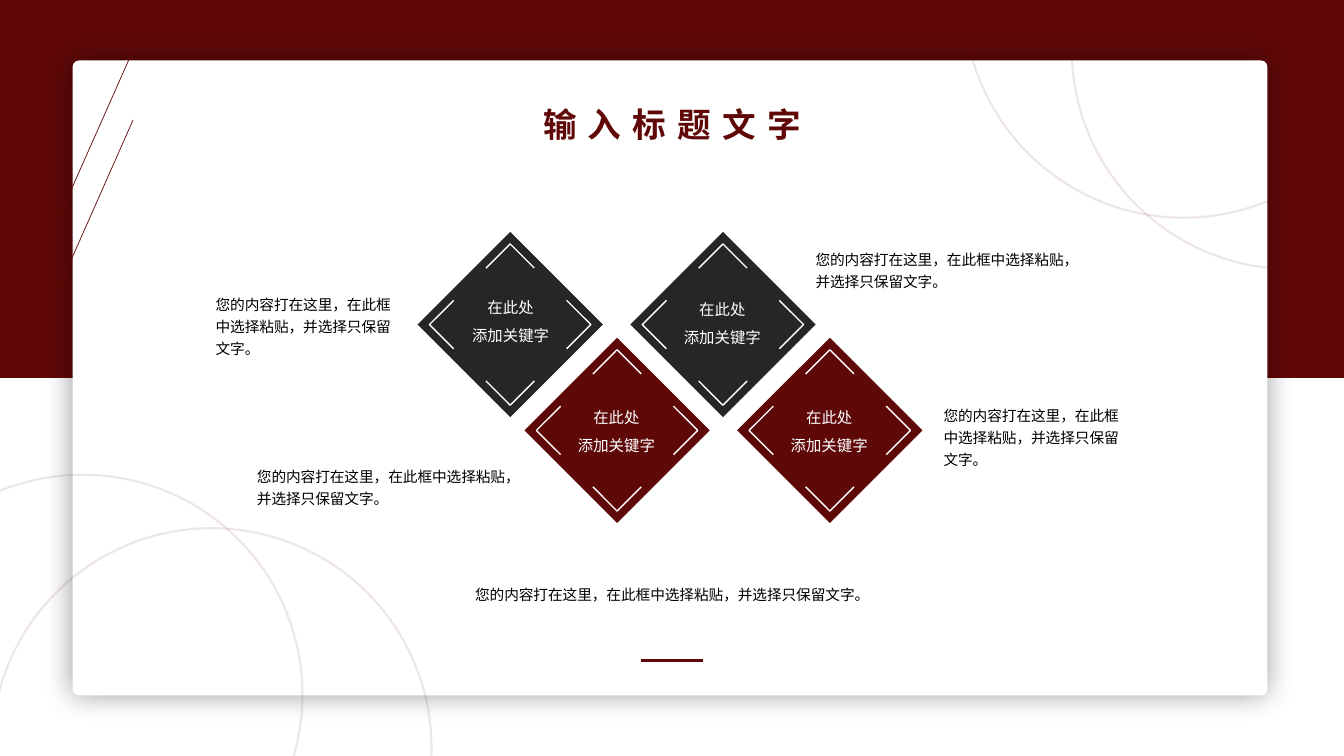
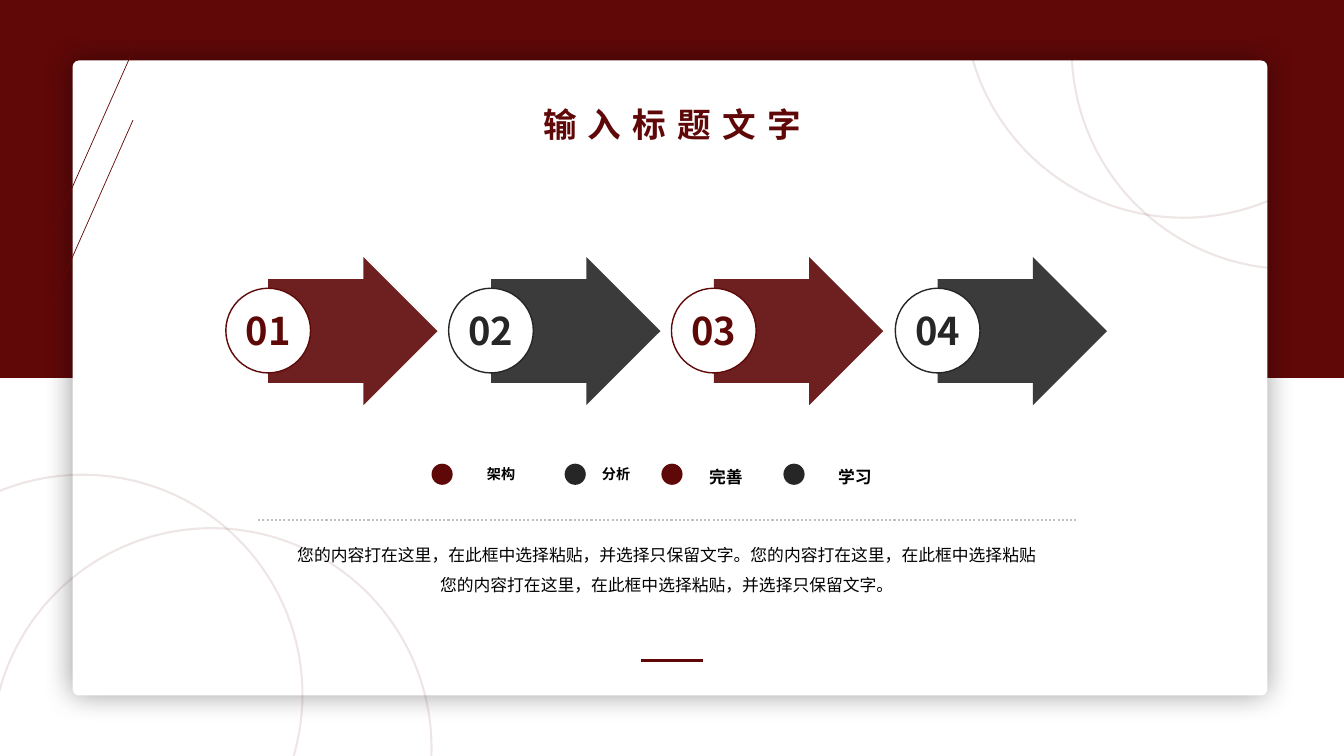
import pptx
import pptx.dml.color
import pptx.enum.dml
import pptx.enum.shapes
import pptx.enum.text
import pptx.oxml.ns
import pptx.util
from lxml import etree

Inches = pptx.util.Inches
Pt = pptx.util.Pt
qn = pptx.oxml.ns.qn
Shape = pptx.enum.shapes.MSO_SHAPE
Align = pptx.enum.text.PP_ALIGN
STRAIGHT = pptx.enum.shapes.MSO_CONNECTOR.STRAIGHT

FONT = "Noto Sans CJK SC"
COLORS = {
    "band": "600808",
    "red": "5F0808",
    "dark": "262626",
    "white": "FFFFFF",
    "black": "000000",
    "gray": "BFBFBF",
}
PHRASE = "您的内容打在这里，在此框中选择粘贴，并选择只保留文字。"


def paint(shape, fill=None, line=None, width=1, alpha=None):
    """Set fill, line and opacity (percent), and drop the theme shadow."""
    props = shape.element.spPr
    if line:
        shape.line.color.rgb = pptx.dml.color.RGBColor.from_string(COLORS[line])
        shape.line.width = Pt(width)
    else:
        shape.line.fill.background()
    if hasattr(shape, "fill"):
        shape.shadow.inherit = False
        if fill:
            shape.fill.solid()
            shape.fill.fore_color.rgb = pptx.dml.color.RGBColor.from_string(COLORS[fill])
        else:
            shape.fill.background()
    else:
        etree.SubElement(props, qn("a:effectLst"))
    if alpha:
        for color in props.iter(qn("a:srgbClr")):
            etree.SubElement(color, qn("a:alpha"), val=str(alpha * 1000))


def write(shape, text, size, color="black", bold=False, align=Align.CENTER,
          space=1.0, pad=(0.1, 0.05), wrap=True):
    """Fill a shape with text; pad is the side and the top inset in inches."""
    frame = shape.text_frame
    frame.text = text
    frame.word_wrap = wrap
    frame.auto_size = pptx.enum.text.MSO_AUTO_SIZE.NONE
    frame.margin_left = frame.margin_right = Inches(pad[0])
    frame.margin_top = frame.margin_bottom = Inches(pad[1])
    for para in frame.paragraphs:
        para.alignment = align
        para.line_spacing = space
        for run in para.runs:
            run.font.size = Pt(size)
            run.font.bold = bold
            run.font.name = FONT
            run.font.color.rgb = pptx.dml.color.RGBColor.from_string(COLORS[color])
            etree.SubElement(run.font._element, qn("a:ea"), typeface=FONT)


deck = pptx.Presentation()
deck.slide_width = Inches(13.33)
deck.slide_height = Inches(7.5)
pages = [deck.slides.add_slide(deck.slide_layouts[5]) for _ in range(2)]

# Shared frame and title
for page in pages:
    shapes = page.shapes
    band = shapes.add_shape(Shape.RECTANGLE, 0, 0, deck.slide_width, Inches(3.75))
    paint(band, "band")

    card = shapes.add_shape(Shape.ROUNDED_RECTANGLE, Inches(0.72), Inches(0.6),
                            Inches(11.85), Inches(6.3))
    card.adjustments[0] = 0.01
    paint(card, "white")
    glow = etree.SubElement(card.element.spPr.find(qn("a:effectLst")), qn("a:outerShdw"),
                            blurRad=str(Pt(20)), dist="0", dir="0", algn="ctr", rotWithShape="0")
    shade = etree.SubElement(glow, qn("a:srgbClr"), val=COLORS["black"])
    etree.SubElement(shade, qn("a:alpha"), val="40000")

    for x1, y1, x2, y2, width in [(6.36, 6.55, 6.97, 6.55, 2),
                                  (1.35, 0.43, 0.53, 2.28, 0.5),
                                  (1.32, 1.19, 0.25, 3.61, 0.5)]:
        rule = shapes.add_connector(STRAIGHT, Inches(x1), Inches(y1), Inches(x2), Inches(y2))
        paint(rule, line="band", width=width)

    for x, y in [(-0.08, 5.24), (-1.36, 4.71), (10.63, -1.69), (9.56, -2.2)]:
        ring = shapes.add_shape(Shape.OVAL, Inches(x), Inches(y), Inches(4.36), Inches(4.36))
        paint(ring, line="band", width=1.5, alpha=10)

    title = shapes.title
    shapes.element.append(title.element)  # bring in front of the card
    title.left, title.top = Inches(5.22), Inches(0.98)
    title.width, title.height = Inches(2.89), Inches(0.5)
    write(title, "输入标题文字", 24, "band", bold=True)
    title.text_frame.vertical_anchor = pptx.enum.text.MSO_ANCHOR.TOP
    title.text_frame.paragraphs[0].runs[0].font._element.set("spc", "800")

# Slide 1: four diamonds with corner marks
shapes = pages[0].shapes
SIDE = 1.3
TIP, BACK, ARM = 0.8, 0.56, 0.24
for row, col, left, top, color, plate in [(0, 0, 4.68, 2.82, "dark", "dark"),
                                          (0, 1, 6.78, 2.84, "dark", "dark"),
                                          (1, 0, 5.73, 3.91, "red", "red"),
                                          (1, 1, 7.84, 3.91, "red", None)]:
    x = 5.06 + 2.11 * col + 1.06 * row
    y = 3.22 + 1.05 * row
    tile = shapes.add_shape(Shape.RECTANGLE, Inches(x - SIDE / 2), Inches(y - SIDE / 2),
                            Inches(SIDE), Inches(SIDE))
    tile.rotation = 45
    paint(tile, color)
    for dx, dy in [(0, -1), (0, 1), (1, 0), (-1, 0)]:
        spots = [(Inches(x + far * dx + side * dy), Inches(y + far * dy + side * dx))
                 for far, side in [(BACK, ARM), (TIP, 0), (BACK, -ARM)]]
        pen = shapes.build_freeform(*spots[0])
        pen.add_line_segments(spots[1:], close=False)
        paint(pen.convert_to_shape(), plate, "white")
    label = shapes.add_textbox(Inches(left), Inches(top), Inches(0.77), Inches(0.62))
    paint(label, plate)
    write(label, "在此处\n添加关键字", 11, "white", space=1.5, pad=(0, 0.05), wrap=False)

for x, y, width, height, align in [(7.99, 2.4, 2.85, 0.52, Align.LEFT),
                                   (9.26, 3.94, 2.08, 0.74, Align.LEFT),
                                   (2.45, 4.55, 2.69, 0.52, Align.LEFT),
                                   (2.04, 2.84, 2.02, 0.74, Align.LEFT),
                                   (3.57, 5.72, 6.2, 0.3, Align.CENTER)]:
    note = shapes.add_textbox(Inches(x), Inches(y), Inches(width), Inches(height))
    write(note, PHRASE, 10.5, align=align, space=1.25)

# Slide 2: legend, summary and numbered arrows
shapes = pages[1].shapes
for word, x, y, width, height, size, left, color in [
        ("架构", 4.83, 4.62, 0.28, 0.17, 10.1, 4.28, "red"),
        ("分析", 5.97, 4.62, 0.28, 0.17, 10.1, 5.6, "dark"),
        ("完善", 7.03, 4.63, 0.34, 0.2, 12, 6.56, "red"),
        ("学习", 8.31, 4.63, 0.34, 0.2, 12, 7.77, "dark")]:
    label = shapes.add_textbox(Inches(x), Inches(y), Inches(width), Inches(height))
    write(label, word, size, bold=True, pad=(0, 0), wrap=False)
    dot = shapes.add_shape(Shape.OVAL, Inches(left), Inches(4.6), Inches(0.21), Inches(0.21))
    paint(dot, color)

body = shapes.add_textbox(Inches(2.55), Inches(5.3), Inches(8.13), Inches(0.57))
write(body, PHRASE + "您的内容打在这里，在此框中选择粘贴\n" + PHRASE, 12, space=1.5, pad=(0, 0))

rule = shapes.add_connector(STRAIGHT, Inches(2.56), Inches(5.16), Inches(10.68), Inches(5.16))
paint(rule, line="gray", width=1.5)
rule.line.dash_style = pptx.enum.dml.MSO_LINE.ROUND_DOT

DISC = 0.84
for step, x in enumerate([2.66, 4.87, 7.08, 9.3]):
    color = ("red", "dark")[step % 2]
    arrow = shapes.add_shape(Shape.RIGHT_ARROW, Inches(x), Inches(2.55), Inches(1.68), Inches(1.47))
    arrow.adjustments[0] = 0.7
    arrow.adjustments[1] = 0.5
    paint(arrow, color, alpha=90)
    disc = shapes.add_shape(Shape.OVAL, Inches(x - DISC / 2), Inches(2.86), Inches(DISC), Inches(DISC))
    paint(disc, "white", color)
    write(disc, f"{step + 1:02}", 27.2, color, bold=True, pad=(0.1, 0.1), wrap=False)
    disc.text_frame.vertical_anchor = pptx.enum.text.MSO_ANCHOR.MIDDLE

deck.save("out.pptx")
